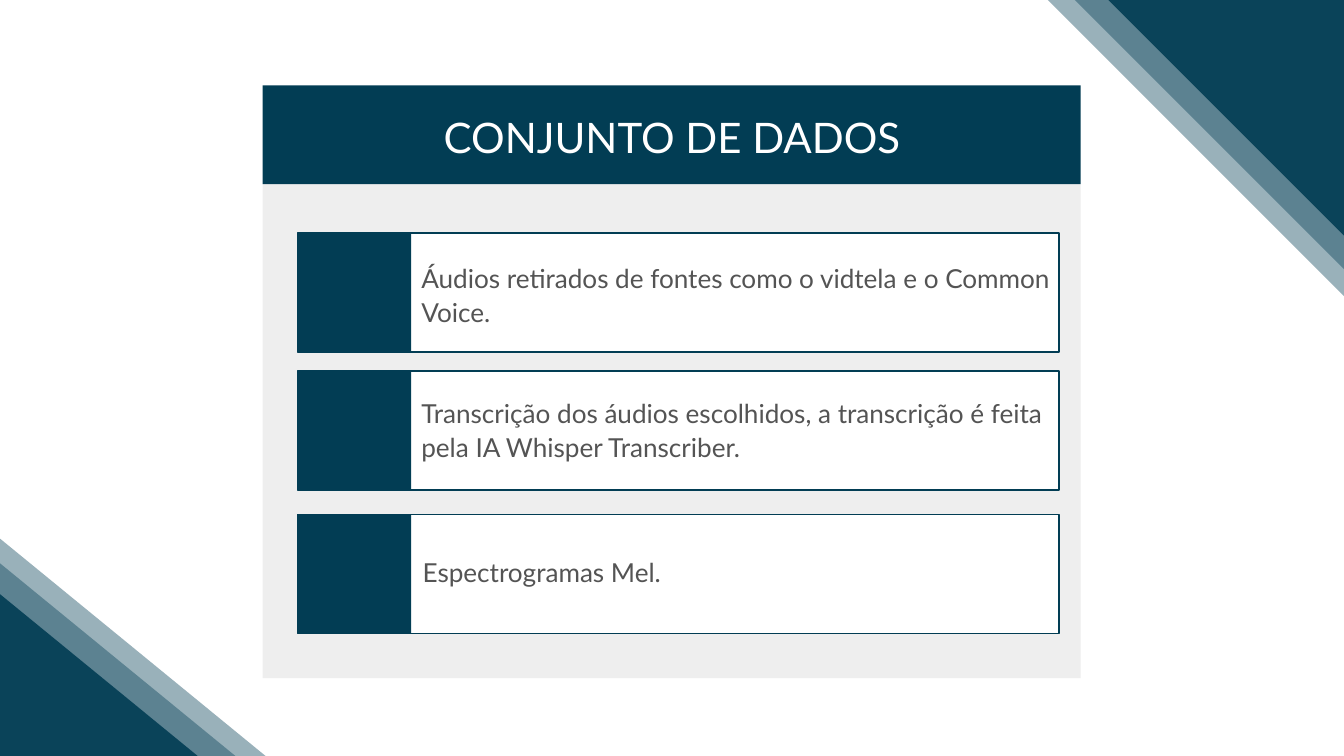
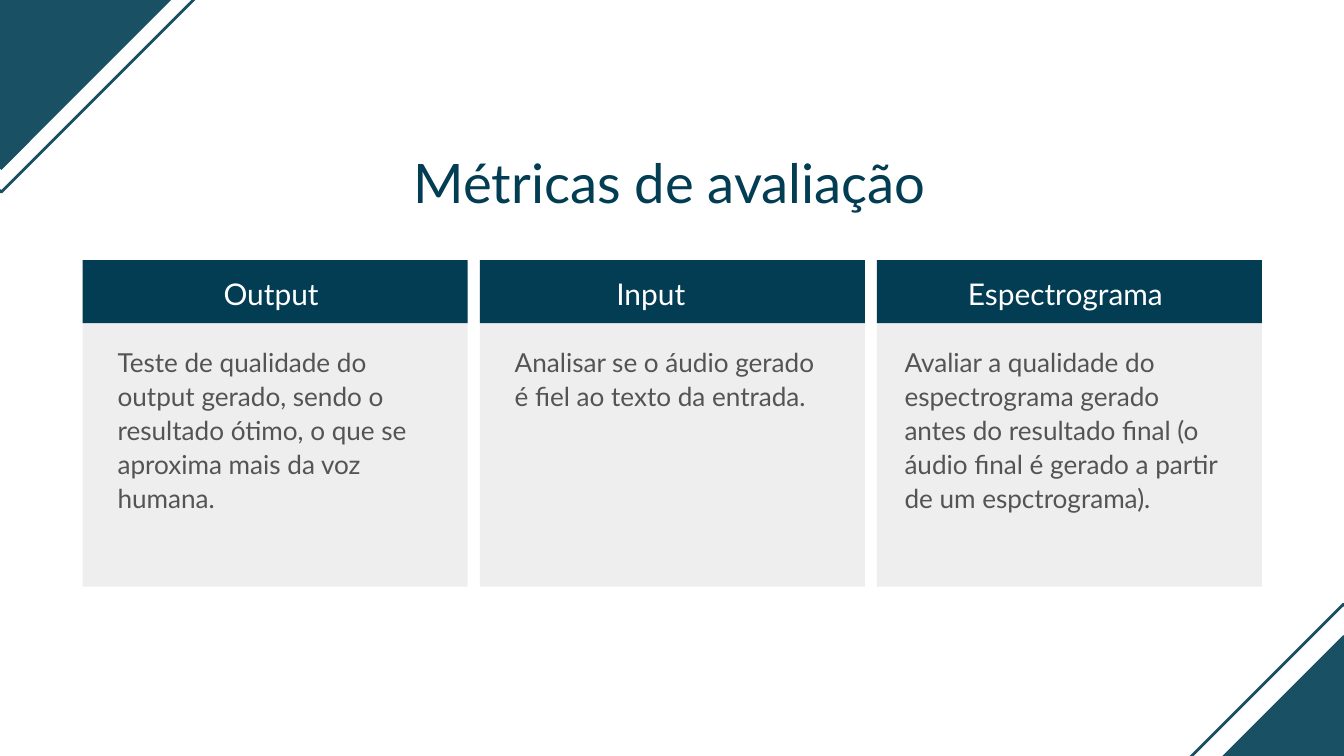
from lxml.etree import SubElement
from pptx import Presentation
from pptx.dml.color import RGBColor
from pptx.enum.shapes import MSO_SHAPE as Shape
from pptx.enum.text import MSO_ANCHOR as Anchor, MSO_AUTO_SIZE as Auto, PP_ALIGN as Align
from pptx.oxml.ns import qn
from pptx.util import Inches, Pt

NAVY = RGBColor(0x02, 0x3D, 0x54)
GREY = RGBColor(0xEE, 0xEE, 0xEE)
INK = RGBColor(0x54, 0x54, 0x54)
WHITE = RGBColor(0xFF, 0xFF, 0xFF)
FONT = "Lato"


def add_box(slide, box, fill=None, line=None, width=1.5):
    """Add a rectangle with an optional fill and outline."""
    shape = slide.shapes.add_shape(Shape.RECTANGLE, *map(Inches, box))
    shape.shadow.inherit = False
    if fill is None:
        shape.fill.background()
    else:
        shape.fill.solid()
        shape.fill.fore_color.rgb = fill
    if line is None:
        shape.line.fill.background()
    else:
        shape.line.color.rgb = line
        shape.line.width = Pt(width)
    return shape


def add_band(slide, box, turn, alpha, **style):
    """Add a turned, see-through corner band."""
    band = add_box(slide, box, **style)
    band.rotation = turn
    for color in band.element.iter(qn("a:srgbClr")):
        SubElement(color, qn("a:alpha")).set("val", str(alpha * 1000))


def set_text(shape, text, size, color, pitch, align):
    """Fill a shape with one styled paragraph."""
    frame = shape.text_frame
    frame.text = text
    frame.word_wrap = True
    frame.auto_size = Auto.NONE
    frame.vertical_anchor = Anchor.TOP
    frame.margin_left = frame.margin_right = 0
    frame.margin_top = frame.margin_bottom = 0
    para = frame.paragraphs[0]
    para.alignment = align
    para.line_spacing = Pt(pitch)
    para.space_before = Pt(0)
    font = para.runs[0].font
    font.name, font.size, font.color.rgb = FONT, Pt(size), color


def add_text(slide, box, text, size=28, color=INK, pitch=36.4, align=Align.LEFT):
    """Add a text box, set as body text by default."""
    shape = slide.shapes.add_textbox(*map(Inches, box))
    set_text(shape, text, size, color, pitch, align)


def set_title(slide, box, text, size, color, pitch):
    """Place the title in front of the shapes drawn so far."""
    title = slide.shapes.title
    title.left, title.top, title.width, title.height = map(Inches, box)
    set_text(title, text, size, color, pitch, Align.CENTER)
    slide.shapes.element.append(title.element)


def add_row(slide, top, text, left, text_top):
    """Add an outlined row with a navy block and its text."""
    add_box(slide, (4.43, top, 11.33, 1.77), WHITE, NAVY)
    add_box(slide, (4.43, top, 1.69, 1.77), NAVY)
    add_text(slide, (left, text_top, 9.4, 1.5), text)


def add_card(slide, left, head, head_left, text, text_left):
    """Add a grey card with a navy heading."""
    add_box(slide, (left, 4.14, 5.73, 4.59), GREY)
    add_box(slide, (left, 3.87, 5.73, 0.94), NAVY)
    add_text(slide, (head_left, 4.02, 4.57, 0.59), head, 32, WHITE, 44.8, Align.CENTER)
    add_text(slide, (text_left, 5.12, 4.68, 3.49), text)


def build_data(slide):
    """Build the data set slide."""
    add_box(slide, (3.91, 2.74, 12.17, 7.35), GREY)
    add_box(slide, (3.91, 1.27, 12.17, 1.47), NAVY)
    set_title(slide, (2.25, 1.59, 15.5, 0.79), "CONJUNTO DE DADOS", 45, WHITE, 58.5)
    rows = [
        (3.47, "Áudios retirados de fontes como o vidtela e o Common Voice.", 6.27, 3.87),
        (5.52, "Transcrição dos áudios escolhidos, a transcrição é "
               "feita pela IA Whisper Transcriber.", 6.27, 5.87),
        (7.66, "Espectrogramas Mel.", 6.29, 8.24),
    ]
    for row in rows:
        add_row(slide, *row)
    for shift, low, alpha in [(0, -3.25, 40), (0.4, -3.21, 40), (0.9, -3.16, 90)]:
        add_band(slide, (16.33, -5.33 - shift, 6.4, 9.48), 315, alpha, fill=NAVY)
        add_band(slide, (low, 7.37 + shift, 6.4, 9.48), 129.3, alpha, fill=NAVY)


def build_metrics(slide):
    """Build the evaluation metrics slide."""
    set_title(slide, (1.42, 2.05, 17.09, 1.08), "Métricas de avaliação", 58.3, NAVY, 81.6)
    cards = [
        ("Output", 1.75, "Teste de qualidade do output gerado, sendo o resultado "
                         "ótimo, o que se aproxima mais da voz humana.", 1.75),
        ("Input", 7.4, "Analisar se o áudio gerado é fiel ao texto da entrada.", 7.66),
        ("Espectrograma", 13.57, "Avaliar a qualidade do espectrograma gerado antes do "
                                 "resultado final (o áudio final é gerado a partir de "
                                 "um espctrograma).", 13.46),
    ]
    for col, card in enumerate(cards):
        add_card(slide, 1.23 + col * 5.91, *card)
    for left, solid, edge in [(-4.4, -8.14, -7.81), (17.12, 10.64, 10.18)]:
        add_band(slide, (left, solid, 7.29, 9.48), 315, 90, fill=NAVY)
        add_band(slide, (left, edge, 7.29, 9.48), 315, 90, line=NAVY, width=3)


def main():
    """Build and save the deck."""
    deck = Presentation()
    deck.slide_width, deck.slide_height = Inches(20), Inches(11.25)
    for build in (build_data, build_metrics):
        build(deck.slides.add_slide(deck.slide_layouts[5]))
    deck.save("out.pptx")


if __name__ == "__main__":
    main()
